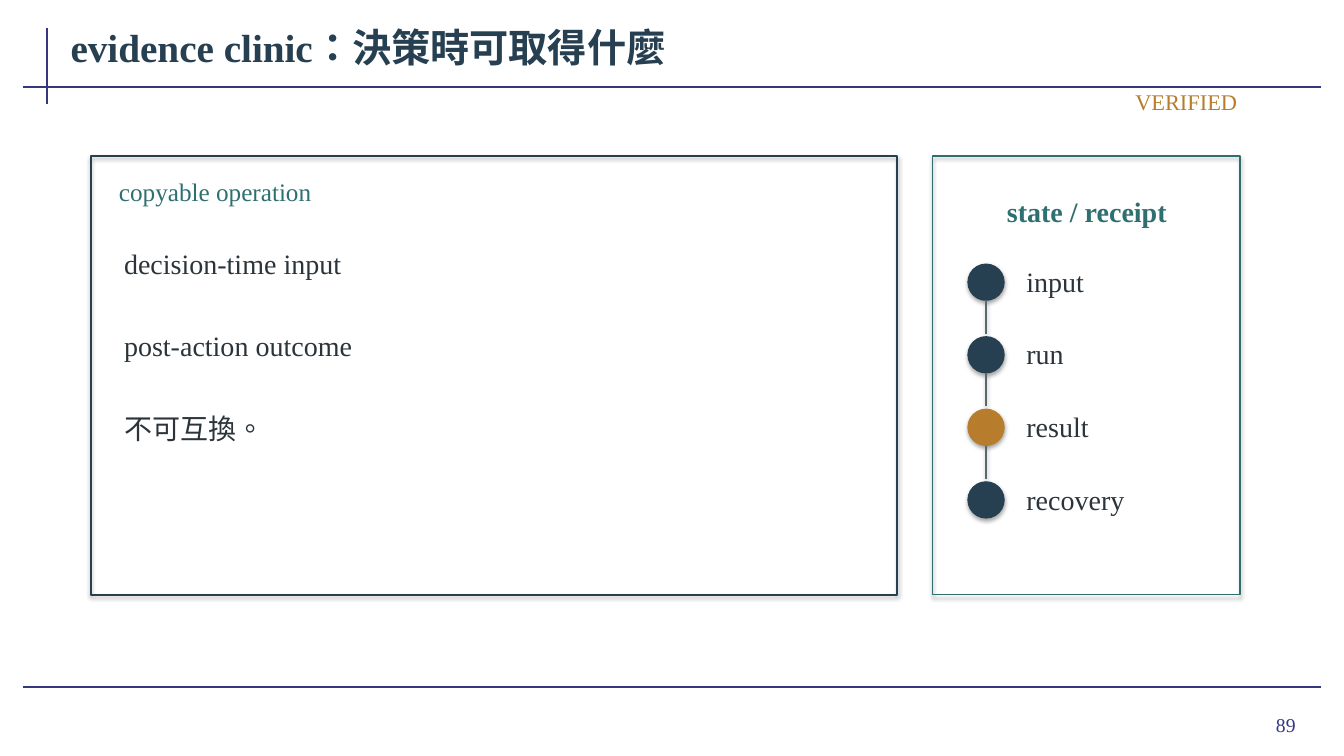
from dataclasses import dataclass

from lxml import etree
from pptx import Presentation
from pptx import util as u
from pptx.dml.color import RGBColor
from pptx.enum import lang, shapes, text
from pptx.oxml.ns import qn


@dataclass(frozen=True)
class Theme:
    font: str = "Times New Roman"
    rule: str = "35377F"
    navy: str = "263F51"
    teal: str = "2F6F70"
    amber: str = "B77D2D"
    ink: str = "2A343A"
    link: str = "59686F"
    title_size: int = 28
    body_size: int = 20
    label_size: int = 18
    status_size: int = 16
    number_size: int = 14


LEFT, CENTER, RIGHT = text.PP_ALIGN.LEFT, text.PP_ALIGN.CENTER, text.PP_ALIGN.RIGHT
RECT, OVAL = shapes.MSO_SHAPE.RECTANGLE, shapes.MSO_SHAPE.OVAL


def lengths(values):
    return [u.Inches(value) for value in values]


def add_shadow(effects, opacity, distance):
    """Put a soft black shadow, falling straight down, into an effect list."""
    shadow = etree.SubElement(
        effects, qn("a:outerShdw"), blurRad=str(u.Pt(3.1)), dist=str(u.Pt(distance)),
        dir=str(90 * 60000), algn="ctr", rotWithShape="0")
    black = etree.SubElement(shadow, qn("a:srgbClr"), val="000000")
    etree.SubElement(black, qn("a:alpha"), val=str(opacity * 1000))


class SlideBuilder:
    def __init__(self, slide, theme):
        self.slide = slide
        self.theme = theme

    def set_text(self, frame, words, size, color, bold=False, align=LEFT):
        frame.word_wrap = True
        frame.vertical_anchor = text.MSO_ANCHOR.MIDDLE
        frame.margin_left = frame.margin_right = u.Inches(0.08)
        frame.margin_top = frame.margin_bottom = u.Inches(0.04)
        paragraph = frame.paragraphs[0]
        paragraph.alignment = align
        run = paragraph.add_run()
        run.text = words
        run.font.name = self.theme.font
        run.font.size = u.Pt(size)
        run.font.bold = bold
        run.font.color.rgb = RGBColor.from_string(color)
        run.font.language_id = lang.MSO_LANGUAGE_ID.TRADITIONAL_CHINESE

    def title(self, words, box):
        title = self.slide.shapes.title
        title.left, title.top, title.width, title.height = lengths(box)
        self.set_text(title.text_frame, words, self.theme.title_size, self.theme.navy, bold=True)
        title.text_frame.auto_size = text.MSO_AUTO_SIZE.NONE

    def label(self, words, box, size, color, **style):
        frame = self.slide.shapes.add_textbox(*lengths(box)).text_frame
        self.set_text(frame, words, size, color, **style)
        frame.auto_size = text.MSO_AUTO_SIZE.SHAPE_TO_FIT_TEXT

    def line(self, start, end, color, width, shadow=False):
        line = self.slide.shapes.add_connector(
            shapes.MSO_CONNECTOR.STRAIGHT, *lengths(start + end))
        line.line.color.rgb = RGBColor.from_string(color)
        line.line.width = u.Pt(width)
        effects = etree.SubElement(line._element.spPr, qn("a:effectLst"))
        if shadow:
            add_shadow(effects, 38, 1.6)

    def shape(self, kind, box, color, width, filled=False):
        shape = self.slide.shapes.add_shape(kind, *lengths(box))
        if filled:
            shape.fill.solid()
            shape.fill.fore_color.rgb = RGBColor.from_string(color)
        else:
            shape.fill.background()
        shape.line.color.rgb = RGBColor.from_string(color)
        shape.line.width = u.Pt(width)
        shape.shadow.inherit = False
        add_shadow(shape._element.spPr.find(qn("a:effectLst")), 35, 1.8)


def draw_frame(page, theme):
    page.line((0.47, 0.28), (0.47, 1.03), theme.rule, 1.5)
    for y in (0.86, 6.82):
        page.line((0.23, y), (13.1, y), theme.rule, 1.5)
    page.label("89", (11.96, 6.99, 0.97, 0.4), theme.number_size, theme.rule, align=RIGHT)
    page.title("evidence clinic：決策時可取得什麼", (0.62, 0.15, 12.49, 0.62))


def draw_operation(page, theme):
    page.shape(RECT, (0.9, 1.55, 8, 4.35), theme.navy, 1.4)
    page.label("copyable operation", (1.1, 1.72, 7.6, 0.35), theme.label_size, theme.teal)
    statements = ("decision-time input", "post-action outcome", "不可互換。")
    for row, statement in enumerate(statements):
        page.label(statement, (1.15, 2.25 + row * 0.82, 7.35, 0.72), theme.body_size, theme.ink)


def draw_receipt(page, theme):
    page.shape(RECT, (9.25, 1.55, 3.05, 4.35), theme.teal, 1.1)
    page.label("state / receipt", (9.48, 1.82, 2.6, 0.55), theme.body_size, theme.teal,
               bold=True, align=CENTER)
    states = ("input", "run", "result", "recovery")
    left, dot, step = 9.6, 0.36, 0.72
    for row, state in enumerate(states):
        top = 2.62 + row * step
        color = theme.amber if state == "result" else theme.navy
        page.shape(OVAL, (left, top, dot, dot), color, 0.75, filled=True)
        page.label(state, (10.1, top - 0.03, 1.85, 0.4), theme.body_size, theme.ink)
        if state != states[-1]:
            middle, bottom = left + dot / 2, top + dot
            page.line((middle, bottom), (middle, bottom + 0.33), theme.link, 0.9, shadow=True)


def main():
    deck = Presentation()
    deck.slide_width, deck.slide_height = u.Inches(13.33), u.Inches(7.5)
    theme = Theme()
    title_only = deck.slide_layouts[5]
    page = SlideBuilder(deck.slides.add_slide(title_only), theme)
    draw_frame(page, theme)
    draw_operation(page, theme)
    draw_receipt(page, theme)
    page.label("VERIFIED", (9.15, 0.86, 3.2, 0.3), theme.status_size, theme.amber, align=RIGHT)
    deck.save("out.pptx")


if __name__ == "__main__":
    main()
